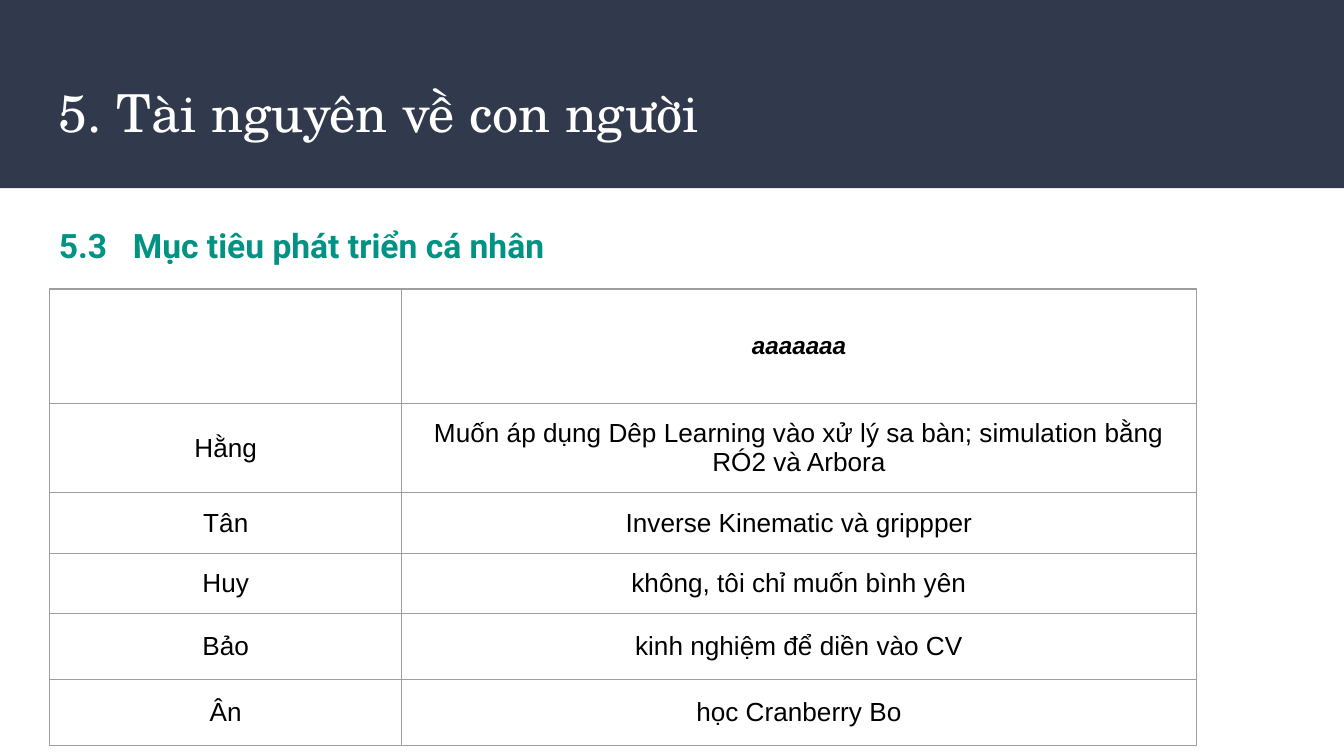
from lxml import etree
from pptx import Presentation
from pptx.dml.color import RGBColor
from pptx.enum.shapes import MSO_SHAPE
from pptx.enum.text import MSO_ANCHOR, PP_ALIGN
from pptx.oxml.ns import qn
from pptx.util import Inches, Pt

RECT = MSO_SHAPE.RECTANGLE
TOP, MIDDLE = MSO_ANCHOR.TOP, MSO_ANCHOR.MIDDLE
CENTER = PP_ALIGN.CENTER
INSET = Inches(0.1)


def color(code):
    return RGBColor.from_string(code)


def style(para, font, size, code, bold=False, italic=False):
    for run in para.runs:
        run.font.name = font
        run.font.size = Pt(size)
        run.font.color.rgb = color(code)
        run.font.bold = bold
        run.font.italic = italic


# Widescreen slide, 16 to 9
deck = Presentation()
deck.slide_width, deck.slide_height = Inches(10), Inches(10 * 9 / 16)
slide = deck.slides.add_slide(deck.slide_layouts[6])

# Header band
band = slide.shapes.add_shape(RECT, 0, 0, Inches(10), Inches(1.4))
band.shadow.inherit = False
band.fill.solid()
band.fill.fore_color.rgb = color("31394D")
band.line.fill.background()

# Title and subtitle
heads = [
    ("5. Tài nguyên về con người", 0.49, 9.32, 0.68, MIDDLE,
     ("TeX Gyre Schola", 28, "FFFFFF")),
    ("5.3\tMục tiêu phát triển cá nhân", 1.53, 6.05, 0.79, TOP,
     ("Roboto", 18, "009384", True)),
]
for text, top, width, height, anchor, look in heads:
    box = slide.shapes.add_textbox(Inches(0.34), Inches(top), Inches(width), Inches(height))
    frame = box.text_frame
    frame.word_wrap = True
    frame.vertical_anchor = anchor
    frame.margin_left = frame.margin_right = INSET
    frame.margin_top = frame.margin_bottom = INSET
    frame.text = text
    para = frame.paragraphs[0]
    style(para, *look)

# Subtitle spacing, with a tab stop after its number
para.line_spacing = 1.15
para.space_after = Pt(12)
tabs = etree.SubElement(para._p.get_or_add_pPr(), qn("a:tabLst"))
etree.SubElement(tabs, qn("a:tab"), pos=str(Inches(0.55)), algn="l")

# Table of personal goals
goals = [
    ("", "aaaaaaa"),
    ("Hằng", "Muốn áp dụng Dêp Learning vào xử lý sa bàn; simulation bằng RÓ2 và Arbora"),
    ("Tân", "Inverse Kinematic và grippper"),
    ("Huy", "không, tôi chỉ muốn bình yên"),
    ("Bảo", "kinh nghiệm để diền vào CV"),
    ("Ân", "học Cranberry Bo"),
]
widths = [2.62, 5.91]
heights = [0.85, 0.45, 0.45, 0.45, 0.49, 0.49]
table = slide.shapes.add_table(
    len(goals), len(widths), Inches(0.37), Inches(2.15),
    Inches(sum(widths)), Inches(sum(heights))).table
table.first_row = table.horz_banding = False
for col, width in zip(table.columns, widths):
    col.width = Inches(width)

for r, goal in enumerate(goals):
    table.rows[r].height = Inches(heights[r])
    for c, text in enumerate(goal):
        cell = table.cell(r, c)
        cell.vertical_anchor = MIDDLE
        cell.margin_left = cell.margin_right = INSET
        cell.margin_top = cell.margin_bottom = INSET
        cell.text_frame.text = text
        para = cell.text_frame.paragraphs[0]
        para.alignment = CENTER
        para.line_spacing = 1.0
        head = r == 0
        style(para, "Arial", 13 if head else 14, "000000", head, head)

        # Borders come before the fill in the cell properties
        props = cell._tc.get_or_add_tcPr()
        for side in ("a:lnL", "a:lnR", "a:lnT", "a:lnB"):
            line = etree.SubElement(props, qn(side), w=str(Pt(0.75)))
            fill = etree.SubElement(line, qn("a:solidFill"))
            etree.SubElement(fill, qn("a:srgbClr"), val="9E9E9E")
        cell.fill.background()

deck.save("out.pptx")
